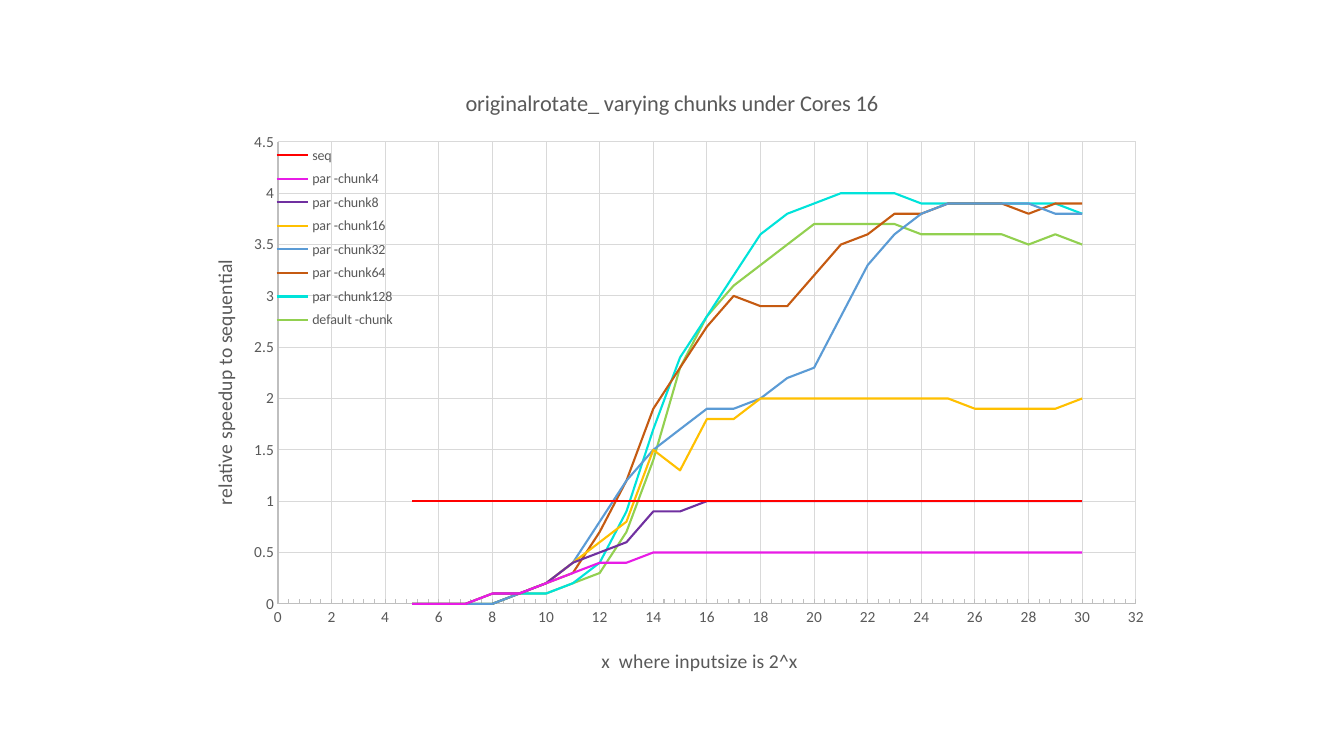
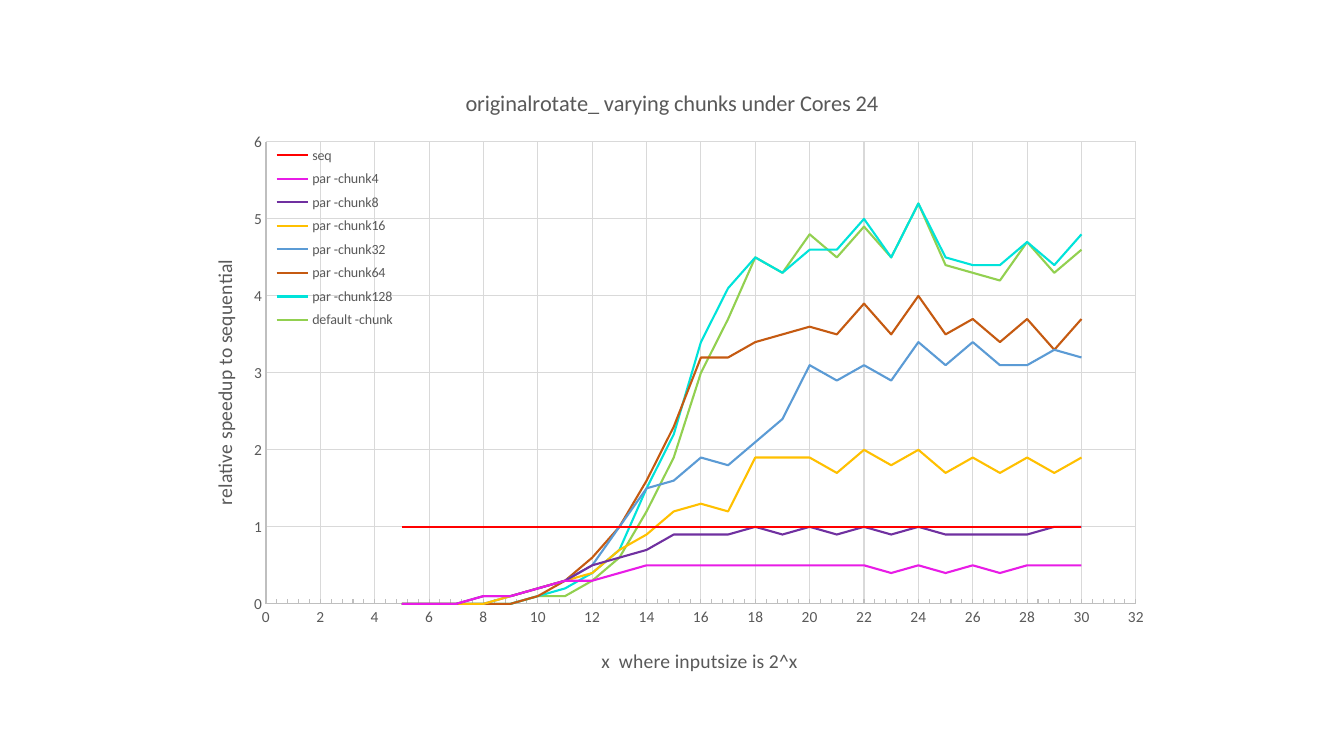
from pptx import Presentation
from pptx.chart.data import XyChartData
from pptx.dml.color import RGBColor
from pptx.enum.chart import XL_CHART_TYPE, XL_LEGEND_POSITION, XL_TICK_MARK
from pptx.oxml import parse_xml
from pptx.oxml.ns import nsdecls, qn
from pptx.util import Pt

INPUT_SIZES = range(5, 31)
SERIES_COLORS = {
    "seq": "FF0000",
    "par -chunk4": "E81CE6",
    "par -chunk8": "7030A0",
    "par -chunk16": "FFC000",
    "par -chunk32": "5B9BD5",
    "par -chunk64": "C55A11",
    "par -chunk128": "00E3DA",
    "default -chunk": "92D050",
}
SEQUENTIAL = [1] * len(INPUT_SIZES)
SPEEDUPS_16 = [
    SEQUENTIAL,
    [0, 0, 0, 0.1, 0.1, 0.2, 0.3, 0.4, 0.4] + [0.5] * 17,
    [0, 0, 0, 0.1, 0.1, 0.2, 0.4, 0.5, 0.6, 0.9, 0.9] + [1] * 15,
    [0, 0, 0, 0.1, 0.1, 0.2, 0.4, 0.6, 0.8, 1.5, 1.3, 1.8, 1.8,
     2, 2, 2, 2, 2, 2, 2, 2, 1.9, 1.9, 1.9, 1.9, 2],
    [0, 0, 0, 0, 0.1, 0.2, 0.4, 0.8, 1.2, 1.5, 1.7, 1.9, 1.9,
     2, 2.2, 2.3, 2.8, 3.3, 3.6, 3.8, 3.9, 3.9, 3.9, 3.9, 3.8, 3.8],
    [0, 0, 0, 0, 0.1, 0.2, 0.3, 0.7, 1.2, 1.9, 2.3, 2.7, 3,
     2.9, 2.9, 3.2, 3.5, 3.6, 3.8, 3.8, 3.9, 3.9, 3.9, 3.8, 3.9, 3.9],
    [0, 0, 0, 0, 0.1, 0.1, 0.2, 0.4, 0.9, 1.7, 2.4, 2.8, 3.2,
     3.6, 3.8, 3.9, 4, 4, 4, 3.9, 3.9, 3.9, 3.9, 3.9, 3.9, 3.8],
    [0, 0, 0, 0, 0.1, 0.1, 0.2, 0.3, 0.7, 1.4, 2.3, 2.8, 3.1,
     3.3, 3.5, 3.7, 3.7, 3.7, 3.7, 3.6, 3.6, 3.6, 3.6, 3.5, 3.6, 3.5],
]
SPEEDUPS_24 = [
    SEQUENTIAL,
    [0, 0, 0, 0.1, 0.1, 0.2, 0.3, 0.3, 0.4, 0.5, 0.5, 0.5, 0.5,
     0.5, 0.5, 0.5, 0.5, 0.5, 0.4, 0.5, 0.4, 0.5, 0.4, 0.5, 0.5, 0.5],
    [0, 0, 0, 0.1, 0.1, 0.2, 0.3, 0.5, 0.6, 0.7, 0.9, 0.9, 0.9,
     1, 0.9, 1, 0.9, 1, 0.9, 1, 0.9, 0.9, 0.9, 0.9, 1, 1],
    [0, 0, 0, 0, 0.1, 0.2, 0.3, 0.4, 0.7, 0.9, 1.2, 1.3, 1.2,
     1.9, 1.9, 1.9, 1.7, 2, 1.8, 2, 1.7, 1.9, 1.7, 1.9, 1.7, 1.9],
    [0, 0, 0, 0, 0.1, 0.2, 0.3, 0.5, 1, 1.5, 1.6, 1.9, 1.8,
     2.1, 2.4, 3.1, 2.9, 3.1, 2.9, 3.4, 3.1, 3.4, 3.1, 3.1, 3.3, 3.2],
    [0, 0, 0, 0, 0, 0.1, 0.3, 0.6, 1, 1.6, 2.3, 3.2, 3.2,
     3.4, 3.5, 3.6, 3.5, 3.9, 3.5, 4, 3.5, 3.7, 3.4, 3.7, 3.3, 3.7],
    [0, 0, 0, 0, 0, 0.1, 0.2, 0.4, 0.7, 1.5, 2.2, 3.4, 4.1,
     4.5, 4.3, 4.6, 4.6, 5, 4.5, 5.2, 4.5, 4.4, 4.4, 4.7, 4.4, 4.8],
    [0, 0, 0, 0, 0, 0.1, 0.1, 0.3, 0.6, 1.2, 1.9, 3, 3.7,
     4.5, 4.3, 4.8, 4.5, 4.9, 4.5, 5.2, 4.4, 4.3, 4.2, 4.7, 4.3, 4.6],
]


def color(value):
    return RGBColor.from_string(value)


class SpeedupDeck:
    """Holds the chart style and the current slide of the speedup deck."""

    FONT, TEXT, GRID, AXIS = "Calibri", "595959", "D9D9D9", "BFBFBF"
    WIDTH, HEIGHT = 702, 446.4

    def __init__(self):
        self.presentation = Presentation()
        self.presentation.slide_width = Pt(960)
        self.presentation.slide_height = Pt(540)
        self.slide = None

    def add_slide(self):
        self.slide = self.presentation.slides.add_slide(self.presentation.slide_layouts[6])

    def style_font(self, font, size):
        font.name, font.size, font.bold = self.FONT, Pt(size), False
        font.color.rgb = color(self.TEXT)

    def style_line(self, line, value, width):
        line.color.rgb = color(value)
        line.width = Pt(width)

    def place(self, element, left, top, width=None, height=None, inner=False):
        for layout in element.findall(qn("c:layout")):
            element.remove(layout)
        fractions = {"x": left / self.WIDTH, "y": top / self.HEIGHT}
        if width:
            fractions.update(w=width / self.WIDTH, h=height / self.HEIGHT)
        target = '<c:layoutTarget val="inner"/>' if inner else ""
        modes = "".join(f'<c:{key}Mode val="edge"/>' for key in "xy")
        values = "".join(f'<c:{key} val="{value:.4f}"/>' for key, value in fractions.items())
        layout = parse_xml(
            f'<c:layout {nsdecls("c")}><c:manualLayout>{target}{modes}{values}'
            "</c:manualLayout></c:layout>"
        )
        overlay = element.find(qn("c:overlay"))
        if overlay is None:
            element.insert(0, layout)
        else:
            overlay.addprevious(layout)

    def add_title(self, owner, text, size):
        title = owner.chart_title if hasattr(owner, "chart_title") else owner.axis_title
        title.text_frame.text = text
        self.style_font(title.text_frame.paragraphs[0].font, size)
        return title

    def style_axis(self, axis, title, position, maximum, step):
        axis.minimum_scale, axis.maximum_scale, axis.major_unit = 0, maximum, step
        axis.major_tick_mark = axis.minor_tick_mark = XL_TICK_MARK.NONE
        axis.has_major_gridlines = True
        self.style_line(axis.major_gridlines.format.line, self.GRID, 0.75)
        self.style_line(axis.format.line, self.AXIS, 0.75)
        self.style_font(axis.tick_labels.font, 11)
        axis.tick_labels.number_format = "General"
        axis.tick_labels.number_format_is_linked = False
        axis_title = self.add_title(axis, title, 14)
        self.place(axis_title._element, *position)
        return axis_title

    def add_legend(self, chart):
        chart.has_legend = True
        chart.legend.position = XL_LEGEND_POSITION.RIGHT
        chart.legend.include_in_layout = True
        self.style_font(chart.legend.font, 10)
        self.place(chart.legend._element, 64, 53, 92, 140)

    def add_speedup_chart(self, title, speedups, maximum, step, plot_left):
        data = XyChartData()
        for name, values in zip(SERIES_COLORS, speedups):
            series = data.add_series(name)
            for size, value in zip(INPUT_SIZES, values):
                series.add_data_point(size, value)
        chart = self.slide.shapes.add_chart(
            XL_CHART_TYPE.XY_SCATTER_LINES_NO_MARKERS,
            Pt(129), Pt(46.8), Pt(self.WIDTH), Pt(self.HEIGHT), data,
        ).chart
        self.style_font(chart.font, 10)
        chart.has_title = True
        self.add_title(chart, title, 16)
        plot = chart.plots[0]
        plot.vary_by_categories = False
        for series, value in zip(plot.series, SERIES_COLORS.values()):
            series.smooth = False
            self.style_line(series.format.line, value, 1.5)
        self.style_axis(chart.category_axis, "x  where inputsize is 2^x", (298, 413), 32, 2)
        chart.category_axis.minor_tick_mark = XL_TICK_MARK.INSIDE
        value_title = self.style_axis(
            chart.value_axis, "relative speedup to sequential", (19, 136), maximum, step
        )
        value_title.text_frame._txBody.bodyPr.set("rot", "-5400000")
        plot_area = chart._chartSpace.chart.plotArea
        self.place(plot_area, plot_left, 54.6, 682.4 - plot_left, 330, inner=True)
        self.add_legend(chart)


def main():
    deck = SpeedupDeck()
    for cores, speedups, maximum, step, plot_left in (
        (16, SPEEDUPS_16, 4.5, 0.5, 69.6),
        (24, SPEEDUPS_24, 6, 1, 61),
    ):
        deck.add_slide()
        deck.add_speedup_chart(
            f"originalrotate_ varying chunks under Cores {cores}",
            speedups, maximum, step, plot_left,
        )
    deck.presentation.save("out.pptx")


if __name__ == "__main__":
    main()
